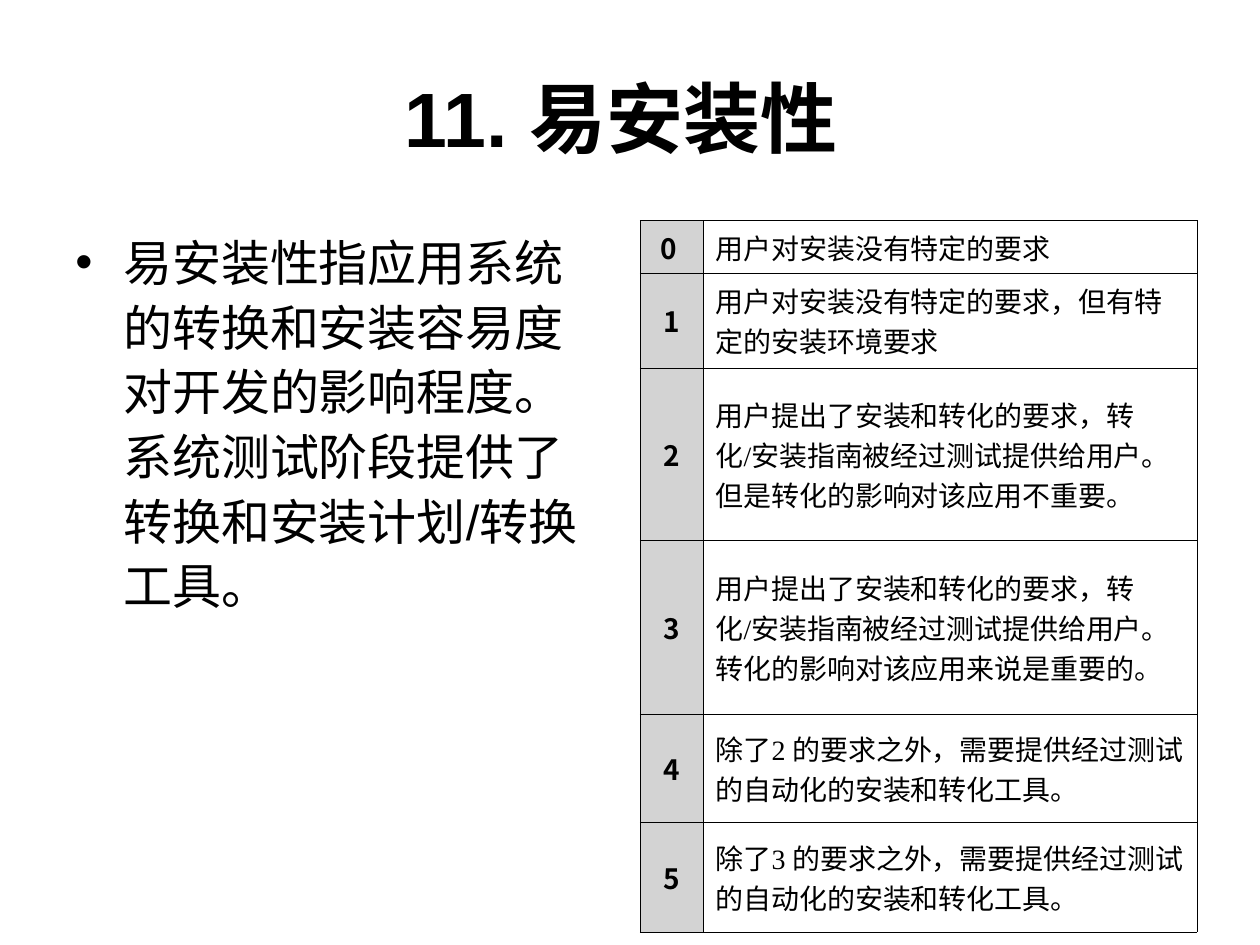
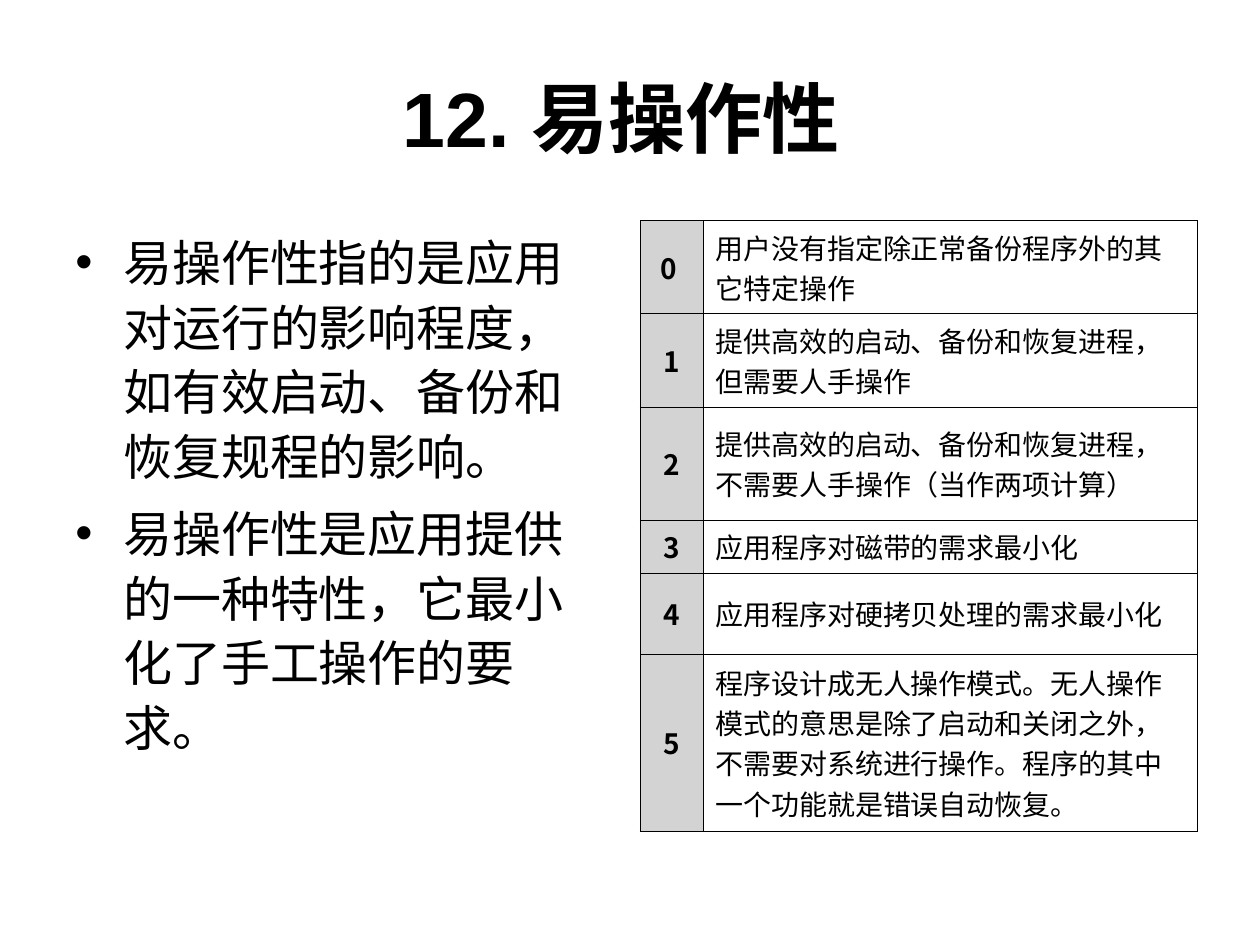
from lxml import etree
from pptx import Presentation, util as u
from pptx.dml.color import RGBColor
from pptx.enum import text
from pptx.oxml.ns import qn

# Shared look
BLACK = RGBColor(0x00, 0x00, 0x00)
SCORE_GREY = RGBColor(0xD3, 0xD3, 0xD3)
CJK_FONT = "Noto Sans CJK SC"
TITLE = {"name": "Arial", "size": u.Pt(44), "bold": True}
BODY = {"name": "Arial", "size": u.Pt(28), "bold": False}
SCORE = {"name": CJK_FONT, "size": u.Pt(16), "bold": True}
CRITERION = {"name": "Times New Roman", "size": u.Pt(16), "bold": False}

# Shared grid: two equal columns between the margins
WIDTH, HEIGHT = u.Inches(10), u.Inches(7.5)
MARGIN = int(WIDTH * 0.05)
COLUMN = int(WIDTH * 0.442)
TABLE_LEFT = WIDTH - MARGIN - COLUMN
TITLE_TOP, TITLE_HEIGHT = int(HEIGHT * 0.04), u.Inches(1.25)
CONTENT_TOP, CONTENT_HEIGHT = u.Inches(1.75), int(HEIGHT * 0.66)
SCORE_WIDTH = u.Inches(0.5)
HANGING = u.Inches(0.38)

# Title, explanation, and (row height, criterion) for scores 0 to 5
topics = [
    ("11. 易安装性 ",
     ["易安装性指应用系统的转换和安装容易度对开发的影响程度。系统测试阶段提供了转换和安装计划/转换工具。"],
     [(0.42, "用户对安装没有特定的要求"),
      (0.75, "用户对安装没有特定的要求，但有特定的安装环境要求"),
      (1.37, "用户提出了安装和转化的要求，转化/安装指南被经过测试提供给用户。但是转化的影响对该应用不重要。"),
      (1.38, "用户提出了安装和转化的要求，转化/安装指南被经过测试提供给用户。转化的影响对该应用来说是重要的。"),
      (0.86, "除了2 的要求之外，需要提供经过测试的自动化的安装和转化工具。"),
      (0.87, "除了3 的要求之外，需要提供经过测试的自动化的安装和转化工具。")]),
    ("12. 易操作性 ",
     ["易操作性指的是应用对运行的影响程度，如有效启动、备份和恢复规程的影响。",
      "易操作性是应用提供的一种特性，它最小化了手工操作的要求。"],
     [(0.74, "用户没有指定除正常备份程序外的其它特定操作"),
      (0.74, "提供高效的启动、备份和恢复进程，但需要人手操作"),
      (0.9, "提供高效的启动、备份和恢复进程，不需要人手操作（当作两项计算）"),
      (0.42, "应用程序对磁带的需求最小化"),
      (0.64, "应用程序对硬拷贝处理的需求最小化"),
      (1.41, "程序设计成无人操作模式。无人操作模式的意思是除了启动和关闭之外，不需要对系统进行操作。程序的其中一个功能就是错误自动恢复。")]),
]


def write(paragraph, words, style, align=text.PP_ALIGN.LEFT):
    run = paragraph.add_run()
    run.text = words
    for attribute, value in style.items():
        setattr(run.font, attribute, value)
    run.font.color.rgb = BLACK
    etree.SubElement(run.font._element, qn("a:ea"), typeface=CJK_FONT)
    paragraph.alignment = align
    paragraph._p.get_or_add_pPr().set("hangingPunct", "0")


def outline(cell):
    properties = cell._tc.get_or_add_tcPr()
    for position, side in enumerate(("a:lnL", "a:lnR", "a:lnT", "a:lnB")):
        line = etree.Element(qn(side), w=str(u.Pt(0.34)))
        fill = etree.SubElement(line, qn("a:solidFill"))
        etree.SubElement(fill, qn("a:srgbClr"), val=str(BLACK))
        properties.insert(position, line)


deck = Presentation()
deck.slide_width, deck.slide_height = WIDTH, HEIGHT

for heading, explanation, criteria in topics:
    slide = deck.slides.add_slide(deck.slide_layouts[6])

    # Title
    title = slide.shapes.add_textbox(MARGIN, TITLE_TOP, WIDTH - 2 * MARGIN, TITLE_HEIGHT).text_frame
    title.word_wrap = True
    title.vertical_anchor = text.MSO_ANCHOR.MIDDLE
    write(title.paragraphs[0], heading, TITLE, text.PP_ALIGN.CENTER)

    # Bulleted explanation
    body = slide.shapes.add_textbox(MARGIN, CONTENT_TOP, COLUMN, CONTENT_HEIGHT).text_frame
    body.word_wrap = True
    for index, sentence in enumerate(explanation):
        point = body.add_paragraph() if index else body.paragraphs[0]
        properties = point._p.get_or_add_pPr()
        properties.set("marL", str(HANGING))
        properties.set("indent", str(-HANGING))
        etree.SubElement(properties, qn("a:buFont"), typeface="Arial")
        etree.SubElement(properties, qn("a:buChar"), char="•")
        point.line_spacing = 1.1
        point.space_before = u.Pt(7 if index else 0)
        write(point, sentence, BODY)

    # Score table
    table_height = u.Inches(sum(height for height, _ in criteria))
    scores = slide.shapes.add_table(len(criteria), 2, TABLE_LEFT, CONTENT_TOP, COLUMN, table_height).table
    scores.first_row = scores.horz_banding = False
    scores.columns[0].width = SCORE_WIDTH
    scores.columns[1].width = COLUMN - SCORE_WIDTH
    for score, (height, criterion) in enumerate(criteria):
        scores.rows[score].height = u.Inches(height)
        score_cell, criterion_cell = scores.cell(score, 0), scores.cell(score, 1)
        score_cell.fill.solid()
        score_cell.fill.fore_color.rgb = SCORE_GREY
        criterion_cell.fill.background()
        write(score_cell.text_frame.paragraphs[0], str(score) if score else "0 ", SCORE,
              text.PP_ALIGN.CENTER)
        write(criterion_cell.text_frame.paragraphs[0], criterion, CRITERION)
        for cell in (score_cell, criterion_cell):
            cell.vertical_anchor = text.MSO_ANCHOR.MIDDLE
            outline(cell)

deck.save("out.pptx")
